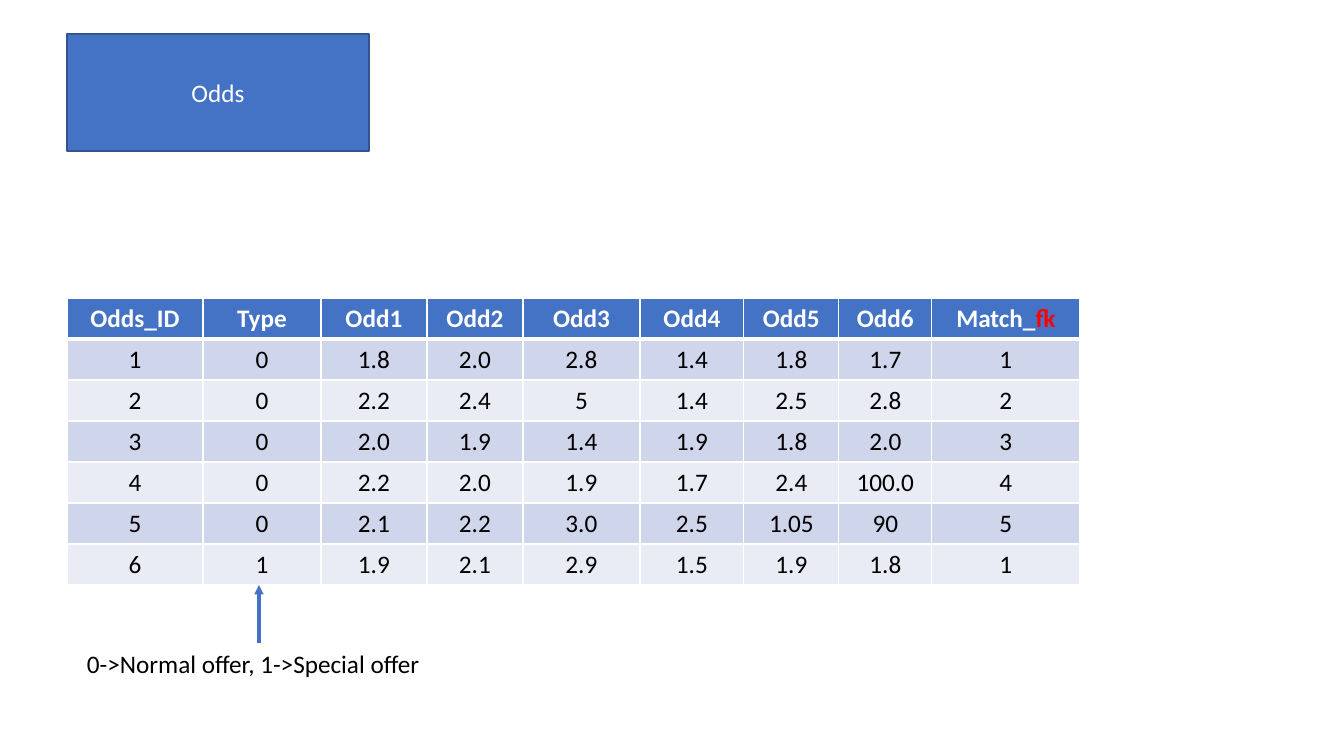
from lxml import etree
from pptx import Presentation
from pptx.dml.color import RGBColor
from pptx.enum.shapes import MSO_CONNECTOR, MSO_SHAPE
from pptx.enum.text import MSO_ANCHOR, MSO_AUTO_SIZE, PP_ALIGN
from pptx.oxml import parse_xml
from pptx.oxml.ns import nsdecls, qn
from pptx.util import Pt

RECT = MSO_SHAPE.RECTANGLE
STRAIGHT = MSO_CONNECTOR.STRAIGHT
CENTER, LEFT = PP_ALIGN.CENTER, PP_ALIGN.LEFT
MIDDLE = MSO_ANCHOR.MIDDLE
GROW = MSO_AUTO_SIZE.SHAPE_TO_FIT_TEXT

EMU_PER_PX = 914400 / 100.8
BLUE, WHITE, BLACK, RED = "4472C4", "FFFFFF", "000000", "FF0000"
BOX_LINE = "325491"
BANDS = ["CFD5EA", "E9EBF5"]

COLUMN_WIDTHS = [136, 118, 106, 96, 117, 104, 95, 93, 148]
ROW_HEIGHT = 41
HEADER = ["Odds_ID", "Type", "Odd1", "Odd2", "Odd3", "Odd4", "Odd5", "Odd6",
          [("Match_", None), ("fk", RED)]]
ODDS = [
    ["1", "0", "1.8", "2.0", "2.8", "1.4", "1.8", "1.7", "1"],
    ["2", "0", "2.2", "2.4", "5", "1.4", "2.5", "2.8", "2"],
    ["3", "0", "2.0", "1.9", "1.4", "1.9", "1.8", "2.0", "3"],
    ["4", "0", "2.2", "2.0", "1.9", "1.7", "2.4", "100.0", "4"],
    ["5", "0", "2.1", "2.2", "3.0", "2.5", "1.05", "90", "5"],
    ["6", "1", "1.9", "2.1", "2.9", "1.5", "1.9", "1.8", "1"],
]


def px(n):
    return round(n * EMU_PER_PX)


def rgb(value):
    return RGBColor.from_string(value)


def set_text(tf, text, color, align=CENTER, bold=False):
    p = tf.paragraphs[0]
    p.alignment = align
    p.font.name = "Calibri"
    p.font.size = Pt(18)
    p.font.bold = bold
    p.font.color.rgb = rgb(color)
    runs = [(text, None)] if isinstance(text, str) else text
    for part, run_color in runs:
        r = p.add_run()
        r.text = part
        if run_color:
            r.font.color.rgb = rgb(run_color)


def add_box(s, x, y, w, h, text):
    sp = s.shapes.add_shape(RECT, px(x), px(y), px(w), px(h))
    sp.shadow.inherit = False
    sp.fill.solid()
    sp.fill.fore_color.rgb = rgb(BLUE)
    sp.line.color.rgb = rgb(BOX_LINE)
    sp.line.width = Pt(1)
    sp.text_frame.vertical_anchor = MIDDLE
    set_text(sp.text_frame, text, WHITE)


def set_borders(cell, top, bottom):
    tc_pr = cell._tc.get_or_add_tcPr()
    for side, width in (("L", 1), ("R", 1), ("T", top), ("B", bottom)):
        tc_pr.append(parse_xml(
            f'<a:ln{side} {nsdecls("a")} w="{Pt(width)}"><a:solidFill>'
            f'<a:srgbClr val="{WHITE}"/></a:solidFill></a:ln{side}>'))


def add_odds_table(s, x, y):
    rows = [HEADER] + ODDS
    table = s.shapes.add_table(
        len(rows), len(HEADER), px(x), px(y),
        px(sum(COLUMN_WIDTHS)), px(ROW_HEIGHT * len(rows))).table
    for column, width in zip(table.columns, COLUMN_WIDTHS):
        column.width = px(width)
    for i, values in enumerate(rows):
        table.rows[i].height = px(ROW_HEIGHT)
        is_header = i == 0
        fill = BLUE if is_header else BANDS[(i - 1) % 2]
        for j, value in enumerate(values):
            cell = table.cell(i, j)
            set_borders(cell, 3 if i == 1 else 1, 3 if is_header else 1)
            cell.fill.solid()
            cell.fill.fore_color.rgb = rgb(fill)
            set_text(cell.text_frame, value, WHITE if is_header else BLACK,
                     bold=is_header)


def add_note(s, x, y, w, h, text):
    tf = s.shapes.add_textbox(px(x), px(y), px(w), px(h)).text_frame
    tf.word_wrap = True
    tf.auto_size = GROW
    set_text(tf, text, BLACK, LEFT)


def add_arrow(s, x1, y1, x2, y2):
    line = s.shapes.add_connector(STRAIGHT, px(x1), px(y1), px(x2), px(y2))
    line.line.color.rgb = rgb(BLUE)
    line.line.width = Pt(2.25)
    etree.SubElement(line.line._get_or_add_ln(), qn("a:tailEnd"), type="triangle")
    etree.SubElement(line._element.spPr, qn("a:effectLst"))


def main():
    prs = Presentation()
    prs.slide_width, prs.slide_height = px(1344), px(756)
    s = prs.slides.add_slide(prs.slide_layouts[6])
    add_box(s, 67, 34, 302, 117, "Odds")
    add_odds_table(s, 67, 298)
    add_note(s, 77, 643, 400, 40, "0->Normal offer, 1->Special offer")
    add_arrow(s, 259, 643, 259, 585)
    prs.save("out.pptx")


main()
